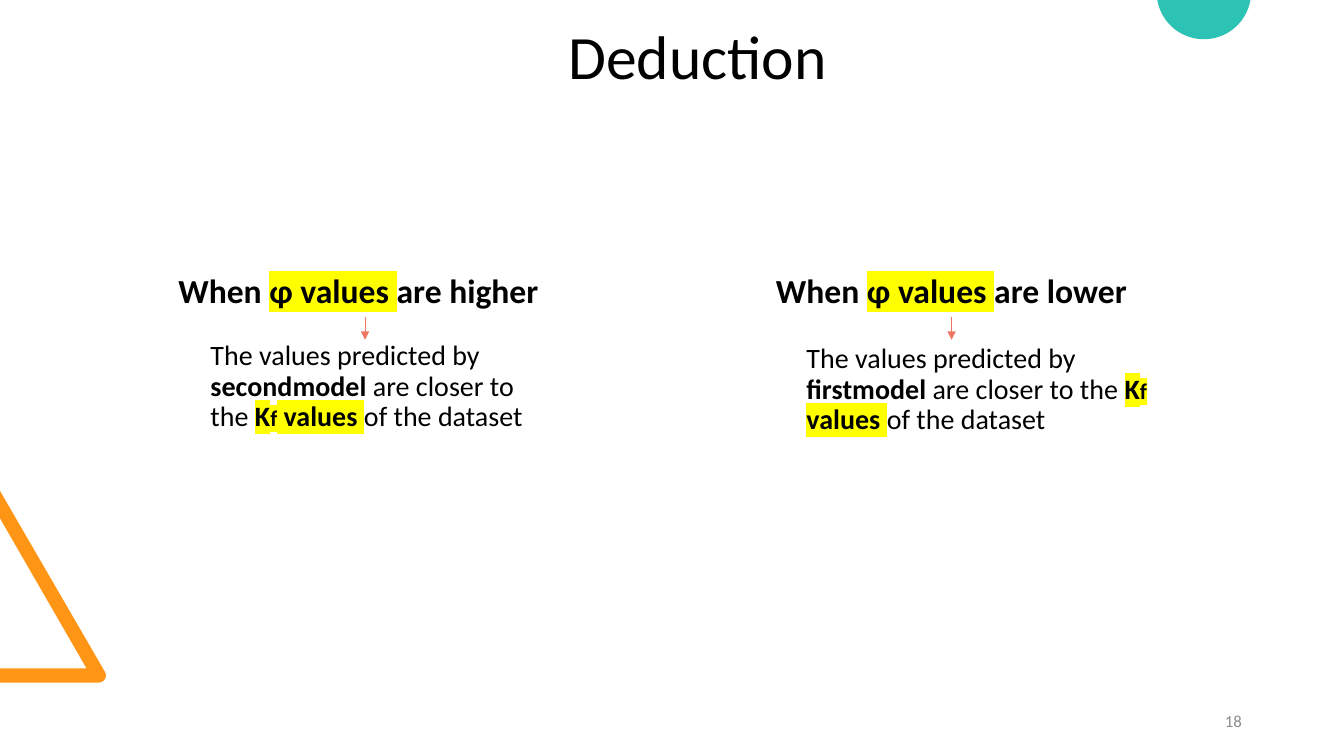
import math

import lxml.etree
import pptx
import pptx.dml.color
import pptx.enum.shapes
import pptx.enum.text
import pptx.oxml.ns
import pptx.util
from pptx.util import Cm

FONT = "Calibri"
BLACK = "000000"
YELLOW = "FFFF00"


def colour(value):
    return pptx.dml.color.RGBColor.from_string(value)


def add_element(parent, tag, **attributes):
    return lxml.etree.SubElement(parent, pptx.oxml.ns.qn(tag), attributes)


def add_span(para, text, size, bold=False, marked=False, ink=BLACK):
    span = para.add_run()
    span.text = text
    span.font.size = pptx.util.Pt(size)
    span.font.bold = bold
    span.font.color.rgb = colour(ink)
    if marked:
        highlight = add_element(span.font._element, "a:highlight")
        add_element(highlight, "a:srgbClr", val=YELLOW)
    span.font.name = FONT


def write_text(box, place, spans, anchor, align="LEFT", before=0, spacing=0.9):
    box.left, box.top, box.width, box.height = (Cm(length) for length in place)
    frame = box.text_frame
    frame.word_wrap = True
    frame.auto_size = pptx.enum.text.MSO_AUTO_SIZE.NONE
    frame.vertical_anchor = pptx.enum.text.MSO_ANCHOR[anchor]
    para = frame.paragraphs[0]
    para.alignment = pptx.enum.text.PP_ALIGN[align]
    para.line_spacing = spacing
    para.space_before = pptx.util.Pt(before)
    properties = para._p.get_or_add_pPr()
    properties.set("marL", "0")
    properties.set("indent", "0")
    add_element(properties, "a:buNone")
    for span in spans:
        add_span(para, *span)


def arc(x, y, radius, start, end, steps):
    angles = [math.radians(start + (end - start) * step / steps) for step in range(steps + 1)]
    return [(x + radius * math.cos(a), y + radius * math.sin(a)) for a in angles]


def add_outline(page, points, fill):
    corners = [(Cm(x), Cm(y)) for x, y in points]
    builder = page.shapes.build_freeform(*corners[0], scale=1.0)
    builder.add_line_segments(corners[1:], close=True)
    shape = builder.convert_to_shape()
    shape.shadow.inherit = False
    shape.fill.solid()
    shape.fill.fore_color.rgb = colour(fill)
    shape.line.fill.background()


def add_arrow(page, x, top, bottom):
    arrow = page.shapes.add_connector(
        pptx.enum.shapes.MSO_CONNECTOR.STRAIGHT, Cm(x), Cm(top), Cm(x), Cm(bottom))
    arrow.line.color.rgb = colour("EE7661")
    arrow.line.width = pptx.util.Pt(0.5)
    add_element(arrow.line._get_or_add_ln(), "a:tailEnd", type="triangle")
    add_element(arrow._element.spPr, "a:effectLst")


def add_case(page, heading_index, heading_place, level, body_place, model, arrow_x):
    heading = [("When ", 24, True), ("φ values ", 24, True, True), (f"are {level}", 24, True)]
    body = [
        ("The values predicted by ", 20),
        (model, 20, True),
        (" are closer to the ", 20),
        ("K", 20, True, True),
        ("f", 16, True, True),
        (" values ", 20, True, True),
        ("of the dataset", 20),
    ]
    write_text(page.placeholders[heading_index], heading_place, heading, "BOTTOM", before=10)
    write_text(page.placeholders[heading_index + 1], body_place, body, "TOP", before=10)
    add_arrow(page, arrow_x, 7.98, 8.56)


def main():
    deck = pptx.Presentation()
    deck.slide_width, deck.slide_height = Cm(33.87), Cm(19.05)
    page = deck.slides.add_slide(deck.slide_layouts.get_by_name("Comparison"))

    triangle = [(0, 17.2), (0, 16.84), (2.18, 16.84), (0, 13.06), (0, 12.37)]
    add_outline(page, triangle + arc(2.49, 17.02, 0.18, -30, 90, 8), "FF9514")
    add_outline(page, arc(30.34, -0.2, 1.19, 9.67, 170.33, 48), "2CC3B4")

    write_text(page.shapes.title, (14.07, 0.53, 7.62, 3.68), [("Deduction", 44)], "TOP")
    add_case(page, 1, (4.24, 5.66, 11.43, 2.29), "higher",
             (5.05, 8.48, 9.15, 10.24), "secondmodel", 9.2)
    add_case(page, 3, (19.3, 5.66, 11.86, 2.29), "lower",
             (20.07, 8.56, 9.15, 10.24), "firstmodel", 23.98)

    number = page.shapes.add_textbox(0, 0, 0, 0)
    write_text(number, (23.93, 17.65, 7.62, 1.02),
               [("18", 12, False, False, "8C8C8C")], "MIDDLE", "RIGHT", spacing=1.0)
    deck.save("out.pptx")


if __name__ == "__main__":
    main()
